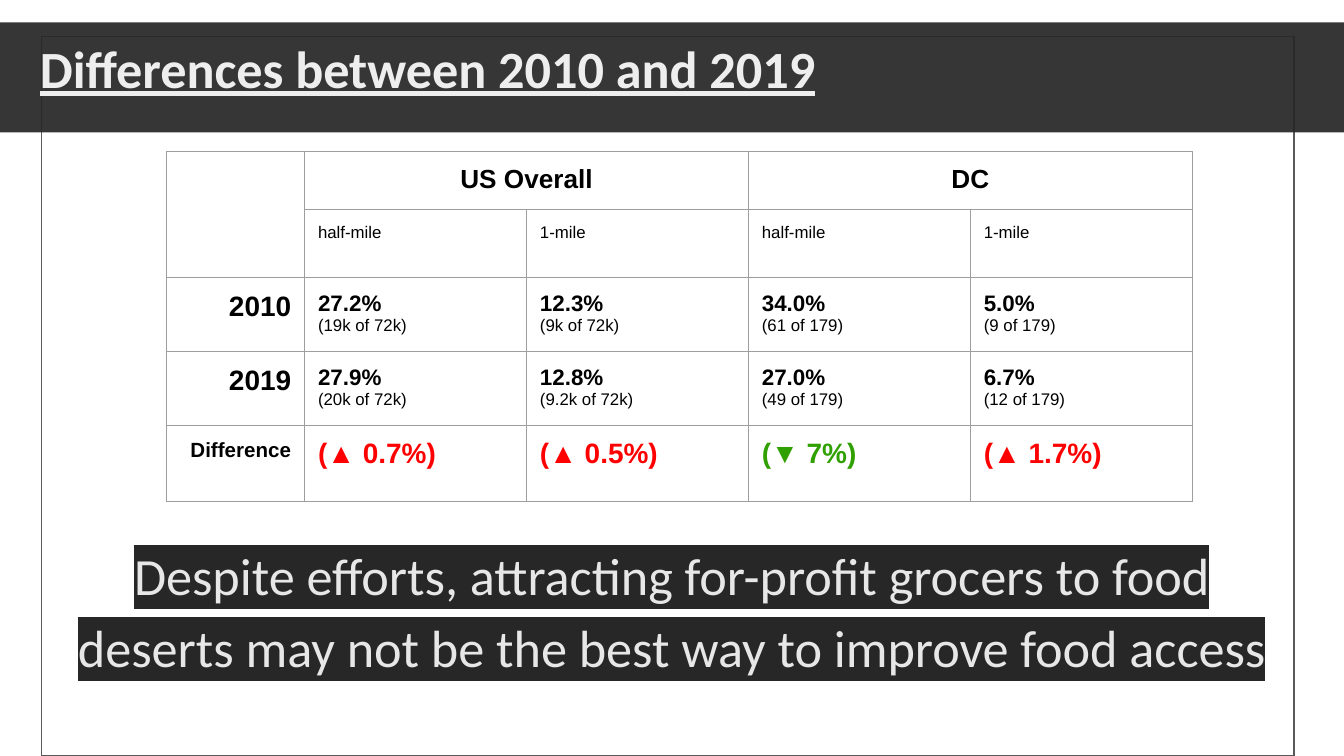
import lxml.etree
import pptx
import pptx.dml.color
import pptx.enum.shapes
import pptx.enum.text
import pptx.oxml.ns
import pptx.util

Pt = pptx.util.Pt
RGBColor = pptx.dml.color.RGBColor
ALIGN = pptx.enum.text.PP_ALIGN
qn = pptx.oxml.ns.qn

WHITE = RGBColor(0xFF, 0xFF, 0xFF)
BLACK = RGBColor(0, 0, 0)
CHARCOAL = RGBColor(0x27, 0x27, 0x27)
FRAME_GREY = RGBColor(0x59, 0x59, 0x59)
BORDER_GREY = RGBColor(0x9E, 0x9E, 0x9E)
TITLE_GREY = RGBColor(0xEE, 0xEE, 0xEE)
MESSAGE_GREY = RGBColor(0xE7, 0xE7, 0xE7)
RED = RGBColor(0xFF, 0, 0)
GREEN = RGBColor(0x30, 0xA0, 0)

INSET = 7.2
COLUMN_WIDTHS = [74] + [118.9] * 4
ROW_HEIGHTS = [31, 34.3, 39.6, 39.6, 40.7]
GROUPS = ["US Overall", "DC"]
DISTANCES = ["half-mile", "1-mile"]
YEARS = [
    ("2010", [("27.2%", "(19k of 72k)"), ("12.3%", "(9k of 72k)"),
              ("34.0%", "(61 of 179)"), ("5.0%", "(9 of 179)")]),
    ("2019", [("27.9%", "(20k of 72k)"), ("12.8%", "(9.2k of 72k)"),
              ("27.0%", "(49 of 179)"), ("6.7%", "(12 of 179)")]),
]
DIFFERENCES = [("(▲ 0.7%)", RED), ("(▲ 0.5%)", RED), ("(▼ 7%)", GREEN), ("(▲ 1.7%)", RED)]


def set_fill(fill, color, opacity):
    fill.solid()
    fill.fore_color.rgb = color
    node = fill._xPr.find(qn("a:solidFill")).find(qn("a:srgbClr"))
    lxml.etree.SubElement(node, qn("a:alpha")).set("val", str(opacity * 1000))


def set_margins(frame):
    frame.margin_left = frame.margin_right = Pt(INSET)
    frame.margin_top = frame.margin_bottom = Pt(INSET)


def write(para, text, size, color, bold=False, name="Arial", align=ALIGN.LEFT):
    para.alignment = align
    font = para.font
    font.name, font.size, font.bold = name, Pt(size), bold
    font.color.rgb = color
    span = para.add_run()
    span.text = text
    return span


def add_panel(page, left, top, width, height, color, opacity):
    panel = page.shapes.add_shape(
        pptx.enum.shapes.MSO_SHAPE.RECTANGLE, Pt(left), Pt(top), Pt(width), Pt(height))
    panel.shadow.inherit = False
    set_fill(panel.fill, color, opacity)
    panel.line.fill.background()
    return panel


def add_frame(page):
    frame = add_panel(page, 22.3, 19.5, 671, 385.5, WHITE, 79)
    frame.line.color.rgb = FRAME_GREY
    frame.line.width = Pt(0.75)


def add_title(page):
    bar = add_panel(page, -10.8, 12, 738, 59, CHARCOAL, 93)
    frame = bar.text_frame
    set_margins(frame)
    frame.margin_left = Pt(32.2)
    frame.vertical_anchor = pptx.enum.text.MSO_ANCHOR.TOP
    para = frame.paragraphs[0]
    write(para, "Differences between 2010 and 2019", 28, TITLE_GREY, True, "Calibri")
    para.font.underline = True


def add_borders(cell):
    properties = cell._tc.get_or_add_tcPr()
    for index, side in enumerate(["lnL", "lnR", "lnT", "lnB"]):
        line = lxml.etree.Element(qn("a:" + side), w=str(Pt(0.75)))
        fill = lxml.etree.SubElement(line, qn("a:solidFill"))
        lxml.etree.SubElement(fill, qn("a:srgbClr")).set("val", str(BORDER_GREY))
        properties.insert(index, line)


def fill_cell(cell, *lines, align=ALIGN.LEFT):
    frame = cell.text_frame
    for index, (text, size, bold, color) in enumerate(lines):
        para = frame.add_paragraph() if index else frame.paragraphs[0]
        write(para, text, size, color, bold, align=align)


def add_comparison_table(page):
    table = page.shapes.add_table(
        len(ROW_HEIGHTS), len(COLUMN_WIDTHS), Pt(89.2), Pt(81.2),
        Pt(sum(COLUMN_WIDTHS)), Pt(sum(ROW_HEIGHTS))).table
    for column, width in zip(table.columns, COLUMN_WIDTHS):
        column.width = Pt(width)
    for row, height in zip(table.rows, ROW_HEIGHTS):
        row.height = Pt(height)
    for cell in table.iter_cells():
        set_margins(cell)
        set_fill(cell.fill, WHITE, 53)
        add_borders(cell)

    table.cell(0, 0).merge(table.cell(1, 0))
    for index, group in enumerate(GROUPS):
        left = 1 + index * len(DISTANCES)
        heading = table.cell(0, left)
        heading.merge(table.cell(0, left + 1))
        fill_cell(heading, (group, 14, True, BLACK), align=ALIGN.CENTER)
    for column, distance in enumerate(DISTANCES * len(GROUPS), 1):
        fill_cell(table.cell(1, column), (distance, 9, False, BLACK))
    for row, (year, shares) in enumerate(YEARS, 2):
        fill_cell(table.cell(row, 0), (year, 15, True, BLACK), align=ALIGN.RIGHT)
        for column, (share, count) in enumerate(shares, 1):
            fill_cell(table.cell(row, column),
                      (share, 12, True, BLACK), (count, 9, False, BLACK))
    fill_cell(table.cell(4, 0), ("Difference", 11, True, BLACK), align=ALIGN.RIGHT)
    for column, (change, color) in enumerate(DIFFERENCES, 1):
        fill_cell(table.cell(4, column), (change, 15, True, color))


def add_message(page, text):
    box = page.shapes.add_textbox(Pt(27.2), Pt(278.6), Pt(665.3), Pt(87.8))
    frame = box.text_frame
    frame.word_wrap = True
    set_margins(frame)
    para = frame.paragraphs[0]
    span = write(para, text, 28, MESSAGE_GREY, name="Calibri", align=ALIGN.CENTER)
    para.line_spacing = 1.15
    highlight = lxml.etree.SubElement(span._r.get_or_add_rPr(), qn("a:highlight"))
    lxml.etree.SubElement(highlight, qn("a:srgbClr")).set("val", str(CHARCOAL))


def main():
    deck = pptx.Presentation()
    deck.slide_width, deck.slide_height = Pt(720), Pt(405)
    page = deck.slides.add_slide(deck.slide_layouts[6])
    add_frame(page)
    add_title(page)
    add_comparison_table(page)
    add_message(page, "Despite efforts, attracting for-profit grocers to food deserts "
                      "may not be the best way to improve food access")
    deck.save("out.pptx")


if __name__ == "__main__":
    main()
